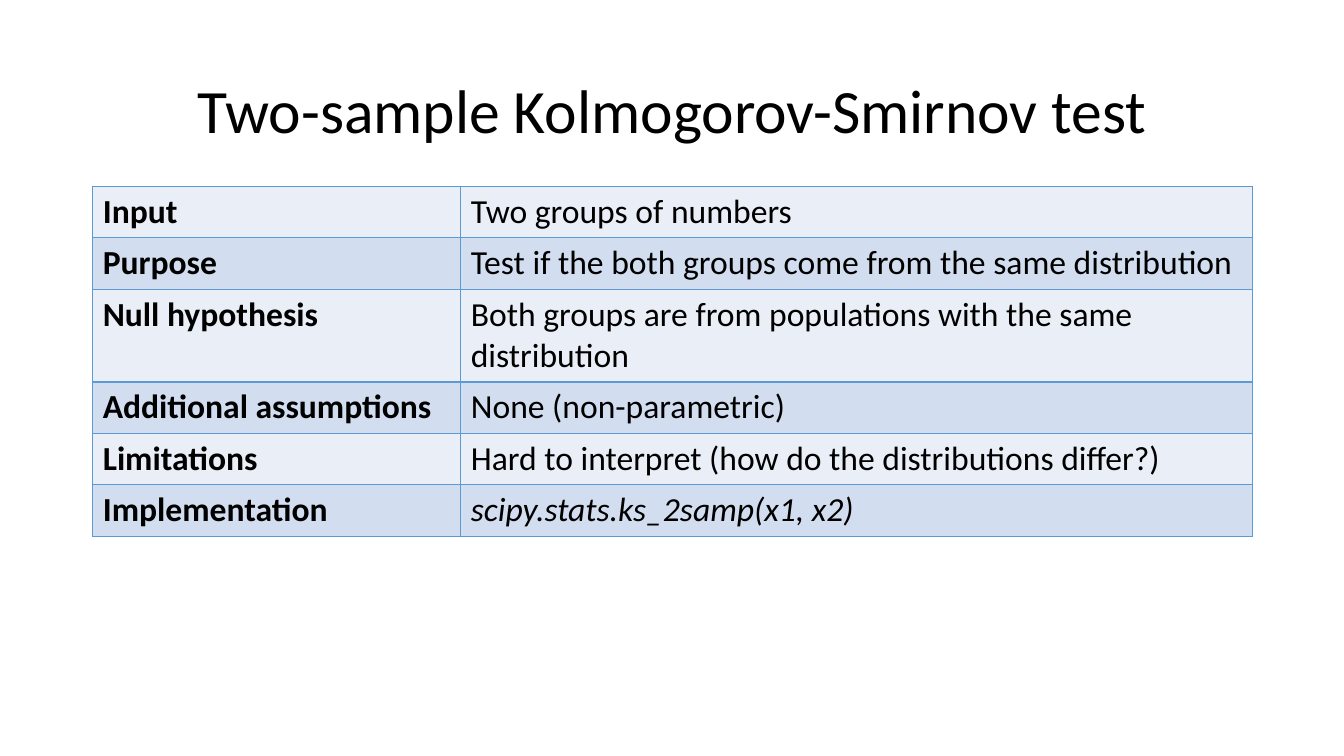
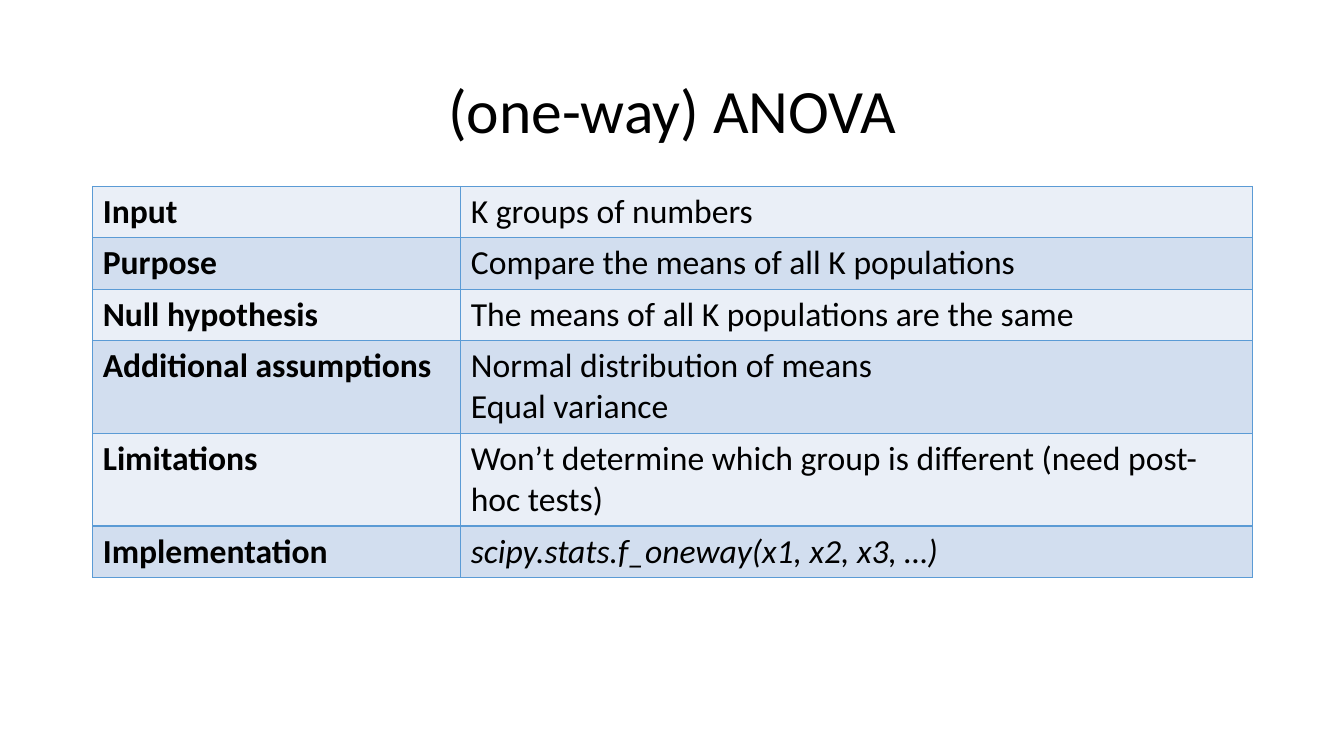
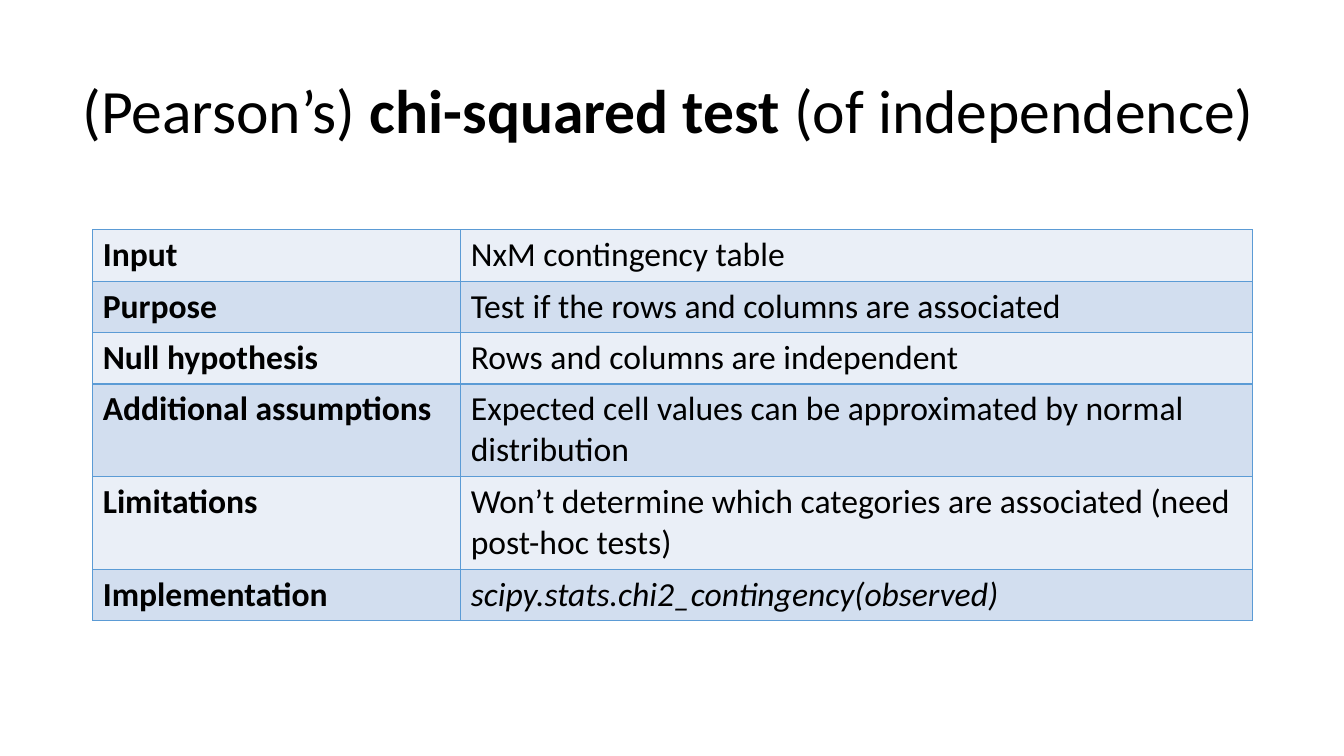
from math import ceil

from lxml import etree
from pptx import Presentation
from pptx.dml.color import RGBColor
from pptx.enum.text import MSO_ANCHOR, PP_ALIGN
from pptx.oxml.ns import qn
from pptx.util import Inches, Pt

CENTER = PP_ALIGN.CENTER
MIDDLE = MSO_ANCHOR.MIDDLE

COLORS = {"text": "000000", "border": "5B9BD5", "light": "EAEFF7", "dark": "D2DEEF"}
FONT = "Calibri"
TITLE_SIZE, TABLE_SIZE, BORDER_WIDTH = 44, 24, 1

SLIDE_WIDTH, SLIDE_HEIGHT = 13.33, 7.5
TITLE_TOP, TITLE_HEIGHT = 0.4, 1.45
TABLE_LEFT, COLUMN_WIDTHS = 0.92, (3.65, 7.85)
TABLE_WIDTH = sum(COLUMN_WIDTHS)
LINE_HEIGHT, CELL_PADDING = 0.41, 0.1
LINE_CHARACTERS = 56  # longest text that fits on one line of the wide column

ROW_LABELS = ("Input", "Purpose", "Null hypothesis", "Additional assumptions",
              "Limitations", "Implementation")

# Title runs are pairs of text and bold; each row is a list of paragraphs.
SLIDES = [
    {
        "title": [("Two-sample Kolmogorov-Smirnov test", False)],
        "title_span": (TABLE_LEFT, TABLE_WIDTH),
        "table_top": 1.85,
        "rows": [
            ["Two groups of numbers"],
            ["Test if the both groups come from the same distribution"],
            ["Both groups are from populations with the same distribution"],
            ["None (non-parametric)"],
            ["Hard to interpret (how do the distributions differ?)"],
            ["scipy.stats.ks_2samp(x1, x2)"],
        ],
    },
    {
        "title": [("(one-way) ANOVA", False)],
        "title_span": (TABLE_LEFT, TABLE_WIDTH),
        "table_top": 1.85,
        "rows": [
            ["K groups of numbers"],
            ["Compare the means of all K populations"],
            ["The means of all K populations are the same"],
            ["Normal distribution of means", "Equal variance"],
            ["Won’t determine which group is different (need post-hoc tests)"],
            ["scipy.stats.f_oneway(x1, x2, x3, …)"],
        ],
    },
    {
        "title": [("(Pearson’s) ", False), ("chi-squared test ", True),
                  ("(of independence)", False)],
        "title_span": (0.56, 12.14),
        "table_top": 2.28,
        "rows": [
            ["NxM contingency table"],
            ["Test if the rows and columns are associated"],
            ["Rows and columns are independent"],
            ["Expected cell values can be approximated by normal distribution"],
            ["Won’t determine which categories are associated (need post-hoc tests)"],
            ["scipy.stats.chi2_contingency(observed)"],
        ],
    },
]


def add_text(paragraph, text, size=TABLE_SIZE, bold=False, italic=False):
    run = paragraph.add_run()
    run.text = text
    run.font.name = FONT
    run.font.size = Pt(size)
    run.font.bold = bold
    run.font.italic = italic
    run.font.color.rgb = RGBColor.from_string(COLORS["text"])


def style_cell(cell, fill):
    """Draw the four borders, then the fill, in the order the schema asks for."""
    properties = cell._tc.get_or_add_tcPr()
    for side in ("a:lnL", "a:lnR", "a:lnT", "a:lnB"):
        line = etree.SubElement(properties, qn(side), w=str(Pt(BORDER_WIDTH)))
        solid = etree.SubElement(line, qn("a:solidFill"))
        etree.SubElement(solid, qn("a:srgbClr"), val=COLORS["border"])
    cell.fill.solid()
    cell.fill.fore_color.rgb = RGBColor.from_string(fill)


presentation = Presentation()
presentation.slide_width = Inches(SLIDE_WIDTH)
presentation.slide_height = Inches(SLIDE_HEIGHT)
blank_layout = presentation.slide_layouts[6]

for content in SLIDES:
    slide = presentation.slides.add_slide(blank_layout)

    title_left, title_width = content["title_span"]
    title = slide.shapes.add_textbox(Inches(title_left), Inches(TITLE_TOP),
                                     Inches(title_width), Inches(TITLE_HEIGHT))
    title.text_frame.word_wrap = True
    title.text_frame.vertical_anchor = MIDDLE
    paragraph = title.text_frame.paragraphs[0]
    paragraph.alignment = CENTER
    paragraph.line_spacing = 0.9
    for text, bold in content["title"]:
        add_text(paragraph, text, size=TITLE_SIZE, bold=bold)

    line_counts = [sum(ceil(len(text) / LINE_CHARACTERS) for text in texts)
                   for texts in content["rows"]]
    row_heights = [count * LINE_HEIGHT + CELL_PADDING for count in line_counts]
    table = slide.shapes.add_table(
        len(ROW_LABELS), len(COLUMN_WIDTHS), Inches(TABLE_LEFT),
        Inches(content["table_top"]), Inches(TABLE_WIDTH), Inches(sum(row_heights))).table
    table.first_row = False
    table.horz_banding = False
    for column, width in zip(table.columns, COLUMN_WIDTHS):
        column.width = Inches(width)

    for index, (label, texts) in enumerate(zip(ROW_LABELS, content["rows"])):
        table.rows[index].height = Inches(row_heights[index])
        fill = COLORS["dark" if index % 2 else "light"]
        label_cell, value_cell = table.cell(index, 0), table.cell(index, 1)
        style_cell(label_cell, fill)
        style_cell(value_cell, fill)
        add_text(label_cell.text_frame.paragraphs[0], label, bold=True)
        for position, text in enumerate(texts):
            frame = value_cell.text_frame
            paragraph = frame.add_paragraph() if position else frame.paragraphs[0]
            add_text(paragraph, text, italic=label == "Implementation")

presentation.save("out.pptx")
